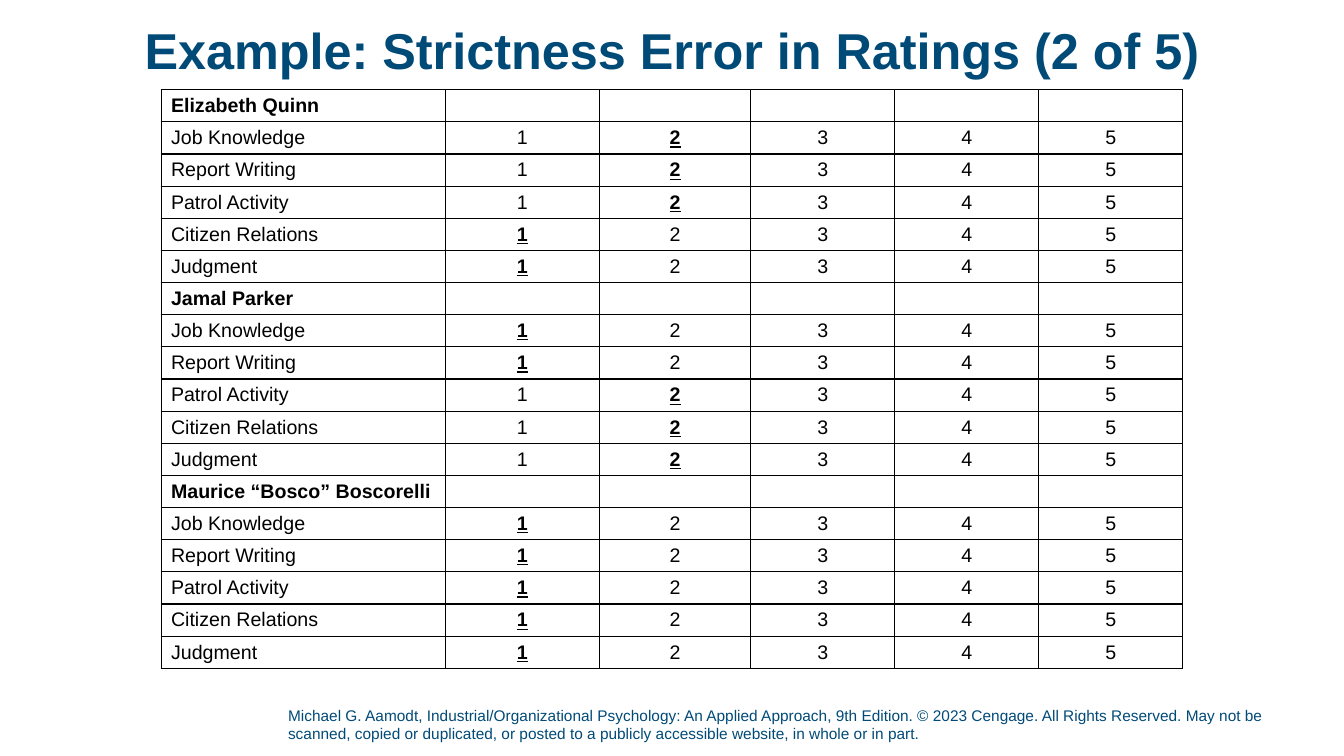
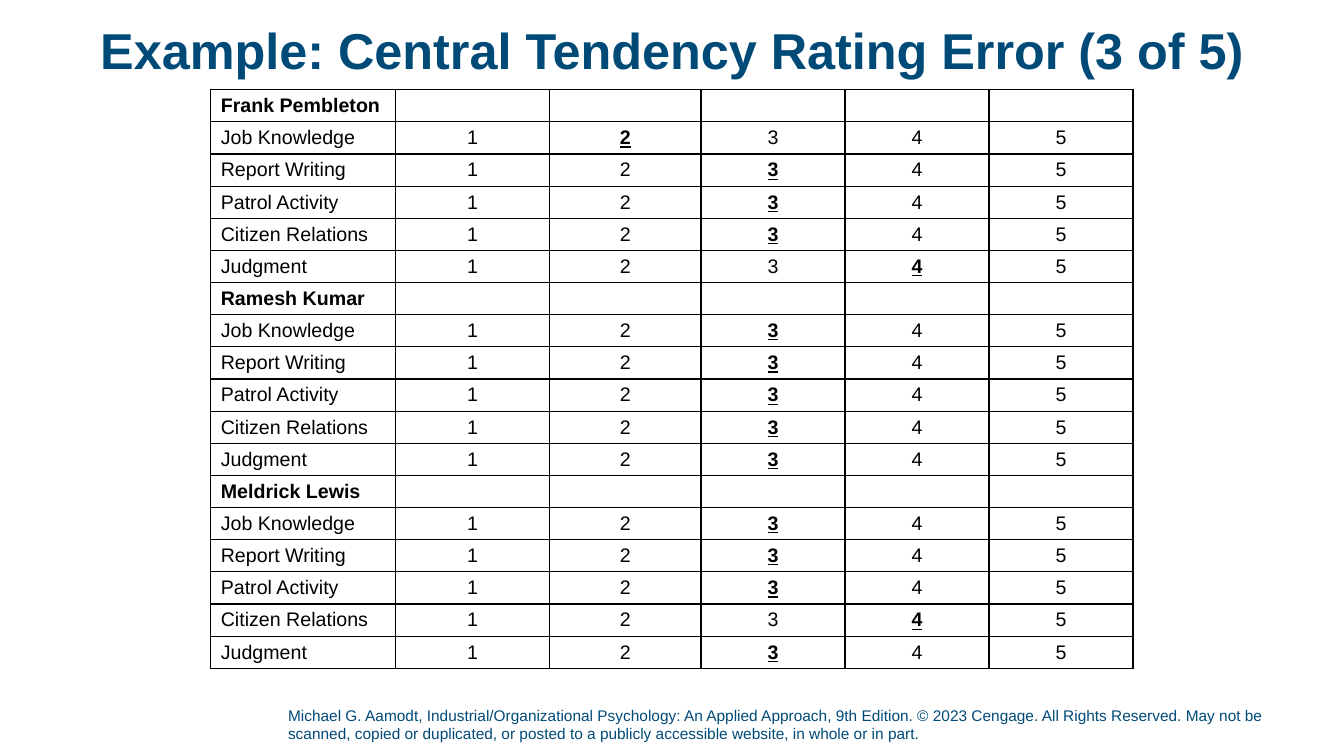
from dataclasses import dataclass
from typing import Any

from lxml.etree import SubElement
from pptx import Presentation
from pptx.dml.color import RGBColor
from pptx.enum.text import MSO_ANCHOR as Anchor
from pptx.enum.text import MSO_AUTO_SIZE as AutoSize
from pptx.enum.text import PP_ALIGN as Align
from pptx.oxml.ns import qn
from pptx.util import Cm, Pt

BLUE = RGBColor(0x00, 0x4A, 0x78)
BLACK = RGBColor(0x00, 0x00, 0x00)

SLIDE_WIDTH, SLIDE_HEIGHT = Cm(33.87), Cm(19.05)
TABLE_TOP, ROW_HEIGHT = Cm(2.26), Cm(0.81)
SCORE_WIDTHS = [Cm(3.89), Cm(3.81), Cm(3.63), Cm(3.63), Cm(3.63)]
TITLE_BOX = dict(left=Cm(2.34), top=Cm(0.63), width=Cm(29.21), height=Cm(1.4))
FOOTER_BOX = dict(left=Cm(7.26), top=Cm(17.78), width=Cm(26.26), height=Cm(1.07))

TITLE_FONT = dict(name="Arial", size=Pt(36), bold=True)
FOOTER_FONT = dict(name="Arial", size=Pt(11), bold=False)
CELL_FONT = dict(name="Arial", size=Pt(14), bold=False)
PICKED_FONT = CELL_FONT | dict(bold=True, underline=True)
NAME_FONT = CELL_FONT | dict(bold=True)

NO_MARGINS = dict(margin_left=0, margin_right=0, margin_top=0, margin_bottom=0)
TITLE_FRAME = NO_MARGINS | dict(
    word_wrap=True, auto_size=AutoSize.NONE, vertical_anchor=Anchor.MIDDLE)
FOOTER_FRAME = NO_MARGINS | dict(
    margin_bottom=Cm(0.13), word_wrap=True, vertical_anchor=Anchor.BOTTOM)
CELL_FRAME = dict(margin_left=Cm(0.25), margin_right=Cm(0.25), margin_top=Cm(0.1),
                  margin_bottom=Cm(0.1), vertical_anchor=Anchor.MIDDLE)

FOOTER = (
    "Michael G. Aamodt, Industrial/Organizational Psychology: An Applied Approach, "
    "9th Edition. © 2023 Cengage. All Rights Reserved. May not be scanned, copied or "
    "duplicated, or posted to a publicly accessible website, in whole or in part."
)
DIMENSIONS = ["Job Knowledge", "Report Writing", "Patrol Activity",
              "Citizen Relations", "Judgment"]


@dataclass(frozen=True)
class Officer:
    name: str
    ratings: tuple[int, ...]


@dataclass(frozen=True)
class RatingSlide:
    title: str
    label_width: int
    officers: tuple[Officer, ...]


RATING_SLIDES = [
    RatingSlide("Example: Strictness Error in Ratings (2 of 5)", Cm(7.16), (
        Officer("Elizabeth Quinn", (2, 2, 2, 1, 1)),
        Officer("Jamal Parker", (1, 1, 2, 2, 2)),
        Officer("Maurice “Bosco” Boscorelli", (1, 1, 1, 1, 1)),
    )),
    RatingSlide("Example: Central Tendency Rating Error (3 of 5)", Cm(4.65), (
        Officer("Frank Pembleton", (2, 3, 3, 3, 4)),
        Officer("Ramesh Kumar", (3, 3, 3, 3, 3)),
        Officer("Meldrick Lewis", (3, 3, 3, 4, 3)),
    )),
]


def apply(target: Any, values: dict[str, Any]) -> None:
    for attribute, value in values.items():
        setattr(target, attribute, value)


def write(paragraph: Any, text: str, font: dict[str, Any], color: RGBColor,
          align: Align = Align.LEFT) -> None:
    paragraph.alignment = align
    run = paragraph.add_run()
    run.text = text
    apply(run.font, font)
    run.font.color.rgb = color


def add_title(slide: Any, text: str) -> None:
    title = slide.shapes.title
    apply(title, TITLE_BOX)
    apply(title.text_frame, TITLE_FRAME)
    paragraph = title.text_frame.paragraphs[0]
    paragraph.line_spacing = 0.9
    write(paragraph, text, TITLE_FONT, BLUE, Align.CENTER)


def add_footer(slide: Any) -> None:
    footer = slide.shapes.add_textbox(**FOOTER_BOX).text_frame
    apply(footer, FOOTER_FRAME)
    write(footer.paragraphs[0], FOOTER, FOOTER_FONT, BLUE)


def format_cell(cell: Any) -> None:
    apply(cell, CELL_FRAME)
    properties = cell._tc.get_or_add_tcPr()
    for side in ("lnL", "lnR", "lnT", "lnB"):
        border = SubElement(properties, qn(f"a:{side}"), w=str(Pt(1)))
        fill = SubElement(border, qn("a:solidFill"))
        SubElement(fill, qn("a:srgbClr"), val=str(BLACK))
    cell.fill.background()


def fill_cell(cell: Any, text: str, font: dict[str, Any],
              align: Align = Align.LEFT) -> None:
    format_cell(cell)
    paragraph = cell.text_frame.paragraphs[0]
    if text:
        write(paragraph, text, font, BLACK, align)
    else:
        SubElement(paragraph._p, qn("a:endParaRPr"), sz="1400")


def add_ratings(slide: Any, content: RatingSlide) -> None:
    widths = [content.label_width, *SCORE_WIDTHS]
    block = 1 + len(DIMENSIONS)
    row_count = block * len(content.officers)
    table = slide.shapes.add_table(
        row_count, len(widths), (SLIDE_WIDTH - sum(widths)) // 2, TABLE_TOP,
        sum(widths), ROW_HEIGHT * row_count).table
    apply(table, dict(first_row=False, horz_banding=False))
    for column, width in zip(table.columns, widths):
        column.width = width
    for row in table.rows:
        row.height = ROW_HEIGHT
    scores = range(1, len(widths))
    for index, officer in enumerate(content.officers):
        name_row = index * block
        fill_cell(table.cell(name_row, 0), officer.name, NAME_FONT)
        for score in scores:
            fill_cell(table.cell(name_row, score), "", CELL_FONT)
        rated = zip(DIMENSIONS, officer.ratings)
        for row, (dimension, rating) in enumerate(rated, name_row + 1):
            fill_cell(table.cell(row, 0), dimension, CELL_FONT)
            for score in scores:
                font = PICKED_FONT if score == rating else CELL_FONT
                fill_cell(table.cell(row, score), str(score), font, Align.CENTER)


def main() -> None:
    deck = Presentation()
    apply(deck, dict(slide_width=SLIDE_WIDTH, slide_height=SLIDE_HEIGHT))
    title_only = deck.slide_layouts[5]
    for content in RATING_SLIDES:
        slide = deck.slides.add_slide(title_only)
        add_footer(slide)
        add_title(slide, content.title)
        add_ratings(slide, content)
    deck.save("out.pptx")


if __name__ == "__main__":
    main()
